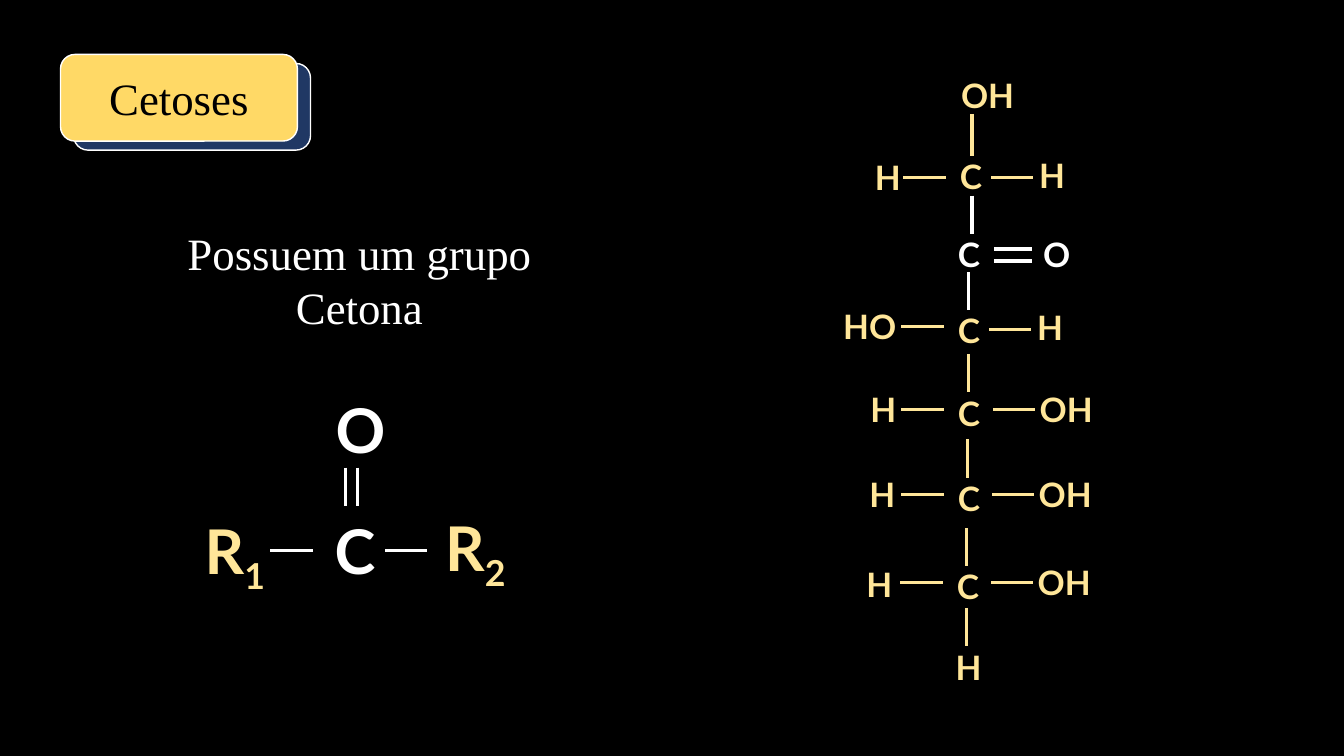
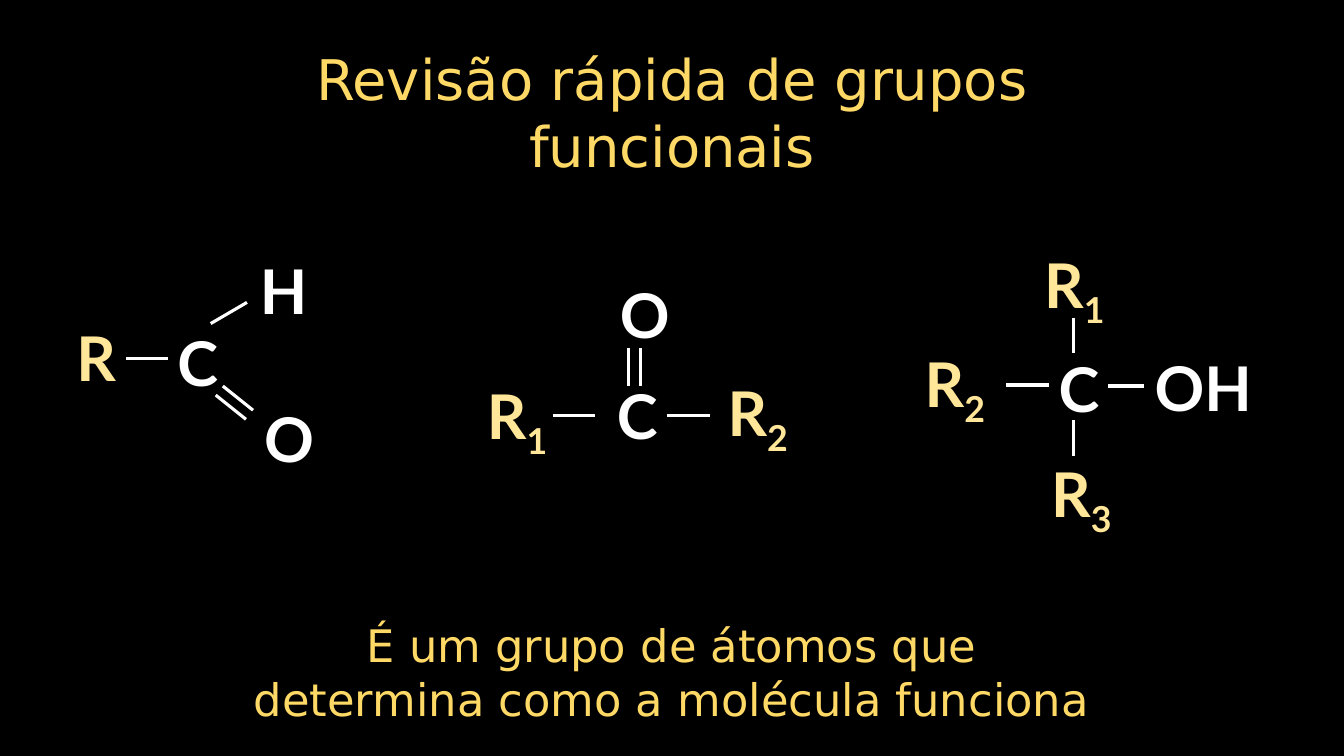
from dataclasses import dataclass

from lxml import etree
from pptx import Presentation
from pptx.dml.color import RGBColor
from pptx.enum.shapes import MSO_CONNECTOR, MSO_SHAPE
from pptx.enum.text import MSO_ANCHOR, MSO_AUTO_SIZE, PP_ALIGN
from pptx.oxml.ns import qn
from pptx.util import Inches, Pt

STRAIGHT = MSO_CONNECTOR.STRAIGHT
ROUNDED = MSO_SHAPE.ROUNDED_RECTANGLE
CENTER = PP_ALIGN.CENTER
TOP, MIDDLE = MSO_ANCHOR.TOP, MSO_ANCHOR.MIDDLE
NO_AUTOFIT = MSO_AUTO_SIZE.NONE
TITLE_ONLY = 5


@dataclass(frozen=True)
class Theme:
    black: RGBColor = RGBColor(0x00, 0x00, 0x00)
    white: RGBColor = RGBColor(0xFF, 0xFF, 0xFF)
    gold: RGBColor = RGBColor(0xFF, 0xD9, 0x66)
    pale: RGBColor = RGBColor(0xFF, 0xE6, 0x99)
    navy: RGBColor = RGBColor(0x20, 0x38, 0x64)
    serif: str = "Times New Roman"
    sans: str = "DejaVu Sans"
    atom: str = "Lato"
    title_size: int = 40
    text_size: int = 32
    group_size: int = 44
    chain_size: int = 24
    bond_width: float = 2.25
    outline_width: float = 1


THEME = Theme()


# Shared helpers
def add_run(paragraph, text, font_name, size, color, bold=False):
    run = paragraph.add_run()
    run.text = text
    run.font.name = font_name
    run.font.size = Pt(size)
    run.font.color.rgb = color
    run.font.bold = bold
    return run


def prepare_frame(shape, anchor=TOP):
    frame = shape.text_frame
    frame.word_wrap = True
    frame.auto_size = NO_AUTOFIT
    frame.vertical_anchor = anchor
    paragraph = frame.paragraphs[0]
    paragraph.alignment = CENTER
    return paragraph


def add_text_box(slide, box):
    shape = slide.shapes.add_textbox(*map(Inches, box))
    return shape, prepare_frame(shape)


def set_title(slide, box, text, font_name, size, color, anchor=TOP):
    title = slide.shapes.title
    title.left, title.top, title.width, title.height = map(Inches, box)
    add_run(prepare_frame(title, anchor), text, font_name, size, color)
    return title


class Molecule:
    """Draws atoms and bonds relative to the top left corner of its box."""

    def __init__(self, slide, left, top, size):
        self.slide, self.left, self.top, self.size = slide, left, top, size
        self.height = 0.84 if size == THEME.group_size else 0.5

    def atom(self, symbol, left, top, width=0.52, color=THEME.white, subscript=""):
        box = (self.left + left, self.top + top, width, self.height)
        shape, paragraph = add_text_box(self.slide, box)
        add_run(paragraph, symbol, THEME.atom, self.size, color, True)
        if subscript:
            run = add_run(paragraph, subscript, THEME.atom, self.size, color, True)
            run.font._element.set("baseline", "-25000")
        return shape

    def bond(self, left, top, across=0.0, down=0.0, color=THEME.white):
        x, y = self.left + left, self.top + top
        line = self.slide.shapes.add_connector(
            STRAIGHT, Inches(x), Inches(y), Inches(x + across), Inches(y + down))
        line.line.color.rgb = color
        line.line.width = Pt(THEME.bond_width)
        etree.SubElement(line._element.spPr, qn("a:effectLst"))


# Functional groups
def draw_ketone(slide, left, top, oxygen, bond_top):
    group = Molecule(slide, left, top, THEME.group_size)
    group.atom("C", 1.51, 0)
    group.atom("O", *oxygen)
    for x in (1.72, 1.84):
        group.bond(x, bond_top, down=0.38)
    for x in (0.97, 2.11):
        group.bond(x, 0.42, across=0.42)
    group.atom("R", 0, 0, 1.24, THEME.pale, "1")
    group.atom("R", 2.28, -0.03, 1.45, THEME.pale, "2")


def draw_aldehyde(slide, left, top):
    group = Molecule(slide, left, top, THEME.group_size)
    group.atom("R", 0, 0.66, 0.59, THEME.pale)
    group.atom("C", 1, 0.71)
    group.atom("H", 1.82, 0, 0.59)
    group.atom("O", 1.87, 1.46).rotation = 8.7
    group.bond(0.59, 1.1, across=0.42)
    group.bond(1.43, 0.75, across=0.36, down=-0.21)
    for x, y in ((1.55, 1.37), (1.48, 1.46)):
        group.bond(x, y, across=0.3, down=0.24)


def draw_alcohol(slide, left, top):
    group = Molecule(slide, left, top, THEME.group_size)
    group.atom("C", 1.44, 1.03)
    group.atom("OH", 2.3, 1.02, 1.35)
    for subscript, x, y, width in (("1", 1.22, 0, 0.95), ("2", 0, 0.98, 1.02),
                                   ("3", 1.29, 2.07, 0.95)):
        group.atom("R", x, y, width, THEME.pale, subscript)
    group.bond(1.02, 1.42, across=0.42)
    group.bond(2.03, 1.43, across=0.36)
    for y in (0.75, 1.77):
        group.bond(1.69, y, down=0.35)


# Carbon rows: carbon position, left atom, left bond y, right atom, right bond x and y
CARBON_ROWS = (
    ((1.15, 0.81), ("H", 0.29, 0.82, 0.59), 1.07, ("H", 1.85, 0.8, 0.73), (1.61, 1.07)),
    ((1.13, 2.34), ("HO", 0, 2.3, 0.81), 2.55, ("H", 1.83, 2.31, 0.73), (1.59, 2.58)),
    ((1.13, 3.16), ("H", 0.28, 3.12, 0.52), 3.37, ("OH", 1.99, 3.12, 0.73), (1.63, 3.37)),
    ((1.13, 4), ("H", 0.27, 3.96, 0.52), 4.22, ("OH", 1.98, 3.96, 0.73), (1.62, 4.22)),
    ((1.12, 4.88), ("H", 0.24, 4.86, 0.52), 5.09, ("OH", 1.97, 4.84, 0.73), (1.61, 5.09)),
)


def draw_sugar_chain(slide, left, top):
    chain = Molecule(slide, left, top, THEME.chain_size)
    pale = THEME.pale
    # Ends of the chain
    chain.atom("OH", 1.11, 0, 0.93, pale)
    chain.atom("H", 1.09, 5.68, 0.59, pale)
    # Carbons with two side atoms
    for carbon, left_atom, left_y, right_atom, right_bond in CARBON_ROWS:
        chain.atom("C", *carbon, color=pale)
        chain.atom(*left_atom, color=pale)
        chain.atom(*right_atom, color=pale)
        chain.bond(carbon[0] - 0.41, left_y, across=0.42, color=pale)
        chain.bond(*right_bond, across=0.42, color=pale)
    # Ketone carbon
    chain.atom("C", 1.13, 1.58)
    chain.atom("O", 2, 1.58)
    for y in (1.78, 1.9):
        chain.bond(1.64, y, across=0.38)
    # Backbone
    chain.bond(1.42, 0.44, down=0.42, color=pale)
    for x, y in ((1.42, 1.25), (1.39, 2.01)):
        chain.bond(x, y, down=0.38)
    for x, y in ((1.39, 2.82), (1.38, 3.67), (1.37, 4.55), (1.37, 5.34)):
        chain.bond(x, y, down=0.38, color=pale)


# Title badge with an offset plate behind it
def draw_badge(slide, left, top, width, height, text):
    for offset_x, offset_y, fill in ((0.13, 0.09, THEME.navy), (0, 0, THEME.gold)):
        plate = slide.shapes.add_shape(
            ROUNDED, Inches(left + offset_x), Inches(top + offset_y),
            Inches(width), Inches(height))
        plate.shadow.inherit = False
        plate.fill.solid()
        plate.fill.fore_color.rgb = fill
        plate.line.color.rgb = THEME.white
        plate.line.width = Pt(THEME.outline_width)
    title = set_title(slide, (left, top, width, height), text,
                      THEME.serif, THEME.text_size, THEME.black, MIDDLE)
    plate._element.addnext(title._element)


# Slides
def build_ketoses(slide):
    draw_badge(slide, 0.6, 0.54, 2.35, 0.86, "Cetoses")
    _, paragraph = add_text_box(slide, (1.47, 2.19, 4.19, 1.18))
    add_run(paragraph, "Possuem um grupo Cetona", THEME.serif, THEME.text_size, THEME.white)
    draw_ketone(slide, 1.71, 5.04, oxygen=(1.52, -1.2), bond_top=-0.4)
    draw_sugar_chain(slide, 8.22, 0.69)


def build_review(slide):
    set_title(slide, (2.33, 0.39, 8.67, 1.45), "Revisão rápida de grupos funcionais",
              THEME.sans, THEME.title_size, THEME.gold)
    draw_aldehyde(slide, 0.66, 2.46)
    draw_ketone(slide, 4.51, 3.7, oxygen=(1.54, -1), bond_top=-0.25)
    draw_alcohol(slide, 8.96, 2.4)
    _, paragraph = add_text_box(slide, (2.33, 6.08, 8.67, 1.18))
    add_run(paragraph, "É um grupo de átomos que determina como a molécula funciona",
            THEME.sans, THEME.text_size, THEME.gold)


def main():
    presentation = Presentation()
    presentation.slide_width = Inches(13.33)
    presentation.slide_height = Inches(7.5)
    background = presentation.slide_master.background.fill
    background.solid()
    background.fore_color.rgb = THEME.black
    layout = presentation.slide_layouts[TITLE_ONLY]
    for build in (build_ketoses, build_review):
        build(presentation.slides.add_slide(layout))
    presentation.save("out.pptx")


if __name__ == "__main__":
    main()
